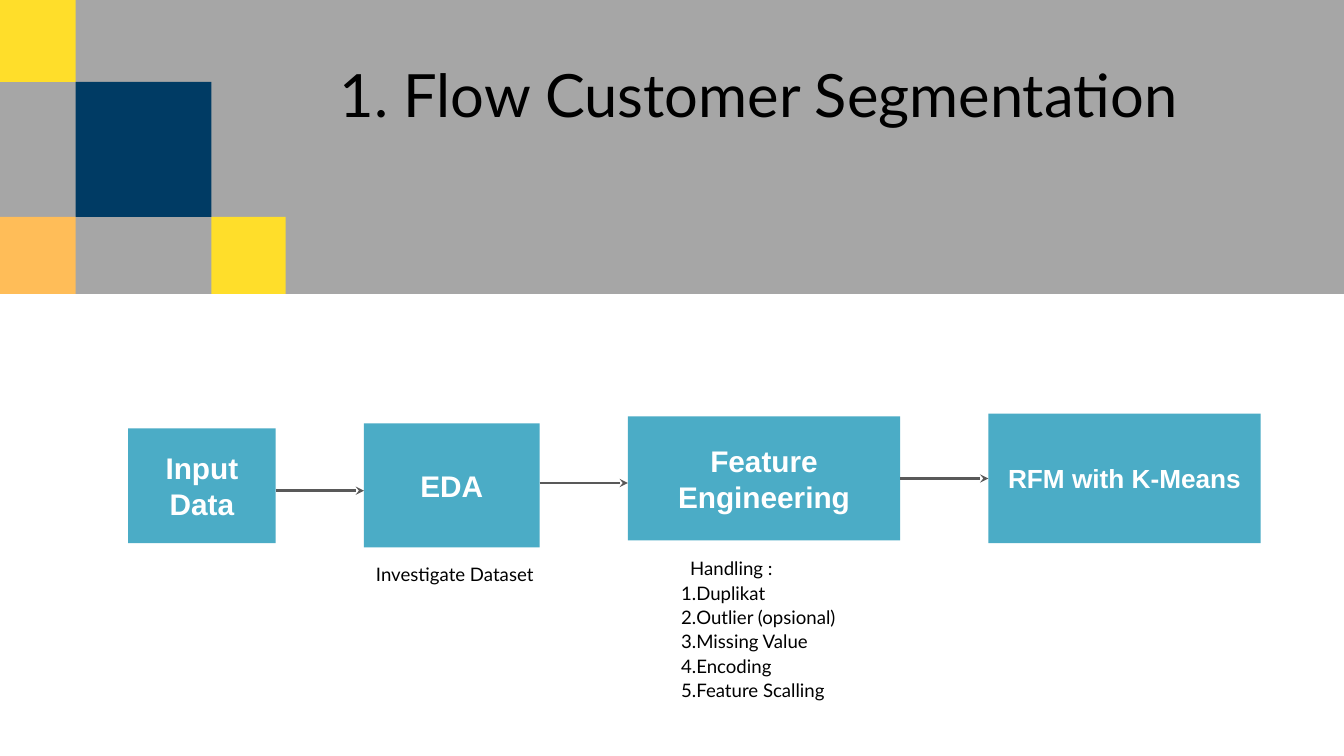
from dataclasses import dataclass
from typing import Any, Optional

import pptx
import pptx.dml.color
import pptx.enum.dml
import pptx.enum.shapes
import pptx.enum.text
import pptx.oxml
import pptx.oxml.ns
import pptx.util

Pt = pptx.util.Pt
RGBColor = pptx.dml.color.RGBColor

GREY = RGBColor(0xA6, 0xA6, 0xA6)
YELLOW = RGBColor(0xFF, 0xDE, 0x2A)
NAVY = RGBColor(0x00, 0x3B, 0x64)
ORANGE = RGBColor(0xFF, 0xBD, 0x58)
TEAL = RGBColor(0x4B, 0xAC, 0xC6)
DARK_GREY = RGBColor(0x59, 0x59, 0x59)
WHITE = RGBColor(0xFF, 0xFF, 0xFF)
BLACK = RGBColor(0x00, 0x00, 0x00)

TEXT_INDENT = 37.44
NUMBER_HANG = 6.48


@dataclass
class Block:
    left: float
    top: float
    width: float
    height: float
    color: RGBColor


@dataclass
class Step:
    label: str
    left: float
    top: float
    width: float
    height: float
    size: float = 21.3
    arrow_y: Optional[float] = None


@dataclass
class Note:
    heading: str
    left: float
    top: float
    width: float
    height: float
    size: float = 13.3
    insets: tuple[float, float] = (7.2, 3.6)
    items: tuple[str, ...] = ()


BLOCKS = [
    Block(0, 0, 960, 210, GREY),
    Block(0, 0, 54, 58.5, YELLOW),
    Block(151, 155, 53, 55, YELLOW),
    Block(54, 58.5, 97, 96.5, NAVY),
    Block(0, 155, 54, 55, ORANGE),
]

STEPS = [
    Step("Input Data", 91.5, 306, 105.5, 82, arrow_y=350.5),
    Step("EDA", 260, 302.5, 125.5, 88.5, arrow_y=345),
    Step("Feature Engineering", 448.5, 297.5, 194.5, 88.5),
    Step("RFM with K-Means", 706, 295.5, 194.5, 92.5, 18.7),
]

NOTES = [
    Note("1. Flow Customer Segmentation", 205.2, 36, 702, 57, 42.6, (0, 0.5)),
    Note("Handling :", 448.5, 393, 181, 111.5, items=(
        "Duplikat", "Outlier (opsional)", "Missing Value", "Encoding", "Feature Scalling")),
    Note("Investigate Dataset", 224, 397, 181, 24),
]


def set_attrs(obj: Any, values: dict[str, Any]) -> None:
    for name, value in values.items():
        setattr(obj, name, value)


def add_xml(parent: Any, xml: str) -> None:
    tag, rest = xml.split(" ", 1)
    ns = pptx.oxml.ns.nsdecls("a")
    parent.append(pptx.oxml.parse_xml(f"<{tag} {ns} {rest}"))


def set_insets(tf: Any, x: float, y: float) -> None:
    set_attrs(tf, {"word_wrap": True, "margin_left": Pt(x), "margin_right": Pt(x),
                   "margin_top": Pt(y), "margin_bottom": Pt(y)})


def add_run(p: Any, text: str, font: str, size: float, color: RGBColor, bold: bool) -> None:
    r = p.add_run()
    r.text = text
    set_attrs(r.font, {"name": font, "size": Pt(size), "bold": bold})
    r.font.color.rgb = color


def add_block(s: Any, block: Block) -> Any:
    sp = s.shapes.add_shape(pptx.enum.shapes.MSO_SHAPE.RECTANGLE, Pt(block.left),
                            Pt(block.top), Pt(block.width), Pt(block.height))
    sp.shadow.inherit = False
    sp.fill.solid()
    sp.fill.fore_color.rgb = block.color
    sp.line.fill.background()
    return sp


def add_step(s: Any, step: Step) -> Any:
    sp = add_block(s, Block(step.left, step.top, step.width, step.height, TEAL))
    tf = sp.text_frame
    set_insets(tf, 9.6, 4.8)
    tf.vertical_anchor = pptx.enum.text.MSO_ANCHOR.MIDDLE
    p = tf.paragraphs[0]
    p.alignment = pptx.enum.text.PP_ALIGN.CENTER
    add_run(p, step.label, "Arial", step.size, WHITE, True)
    return sp


def add_arrow(s: Any, start: Any, end: Any, y: Optional[float]) -> None:
    level = start.top + start.height // 2 if y is None else Pt(y)
    cxn = s.shapes.add_connector(pptx.enum.shapes.MSO_CONNECTOR.STRAIGHT,
                                 start.left + start.width, level, end.left, level)
    if y is None:
        cxn.begin_connect(start, 3)
        cxn.end_connect(end, 1)
    cxn.line.width = Pt(2)
    cxn.line.color.rgb = DARK_GREY
    add_xml(cxn.line._get_or_add_ln(), 'a:tailEnd type="stealth"/>')
    add_xml(cxn._element.spPr, "a:effectLst />")


def add_note(s: Any, note: Note) -> None:
    sp = s.shapes.add_textbox(Pt(note.left), Pt(note.top), Pt(note.width), Pt(note.height))
    tf = sp.text_frame
    set_insets(tf, *note.insets)
    for i, text in enumerate((note.heading, *note.items)):
        p = tf.paragraphs[0] if i == 0 else tf.add_paragraph()
        p.line_spacing = 1.09
        pPr = p._p.get_or_add_pPr()
        pPr.set("marL", str(Pt(TEXT_INDENT)))
        pPr.set("indent", str(-Pt(NUMBER_HANG) if i else 0))
        if i:
            add_xml(pPr, f'a:buClr ><a:srgbClr val="{BLACK}"/></a:buClr>')
            add_xml(pPr, 'a:buFont typeface="Lato"/>')
            add_xml(pPr, 'a:buAutoNum type="arabicPeriod"/>')
        add_run(p, text, "Lato", note.size, BLACK, False)


def main() -> None:
    prs = pptx.Presentation()
    set_attrs(prs, {"slide_width": Pt(960), "slide_height": Pt(540)})
    s = prs.slides.add_slide(prs.slide_layouts[6])
    for block in BLOCKS:
        add_block(s, block)
    boxes = [add_step(s, step) for step in STEPS]
    for step, start, end in zip(STEPS, boxes, boxes[1:]):
        add_arrow(s, start, end, step.arrow_y)
    for note in NOTES:
        add_note(s, note)
    prs.save("out.pptx")


if __name__ == "__main__":
    main()
